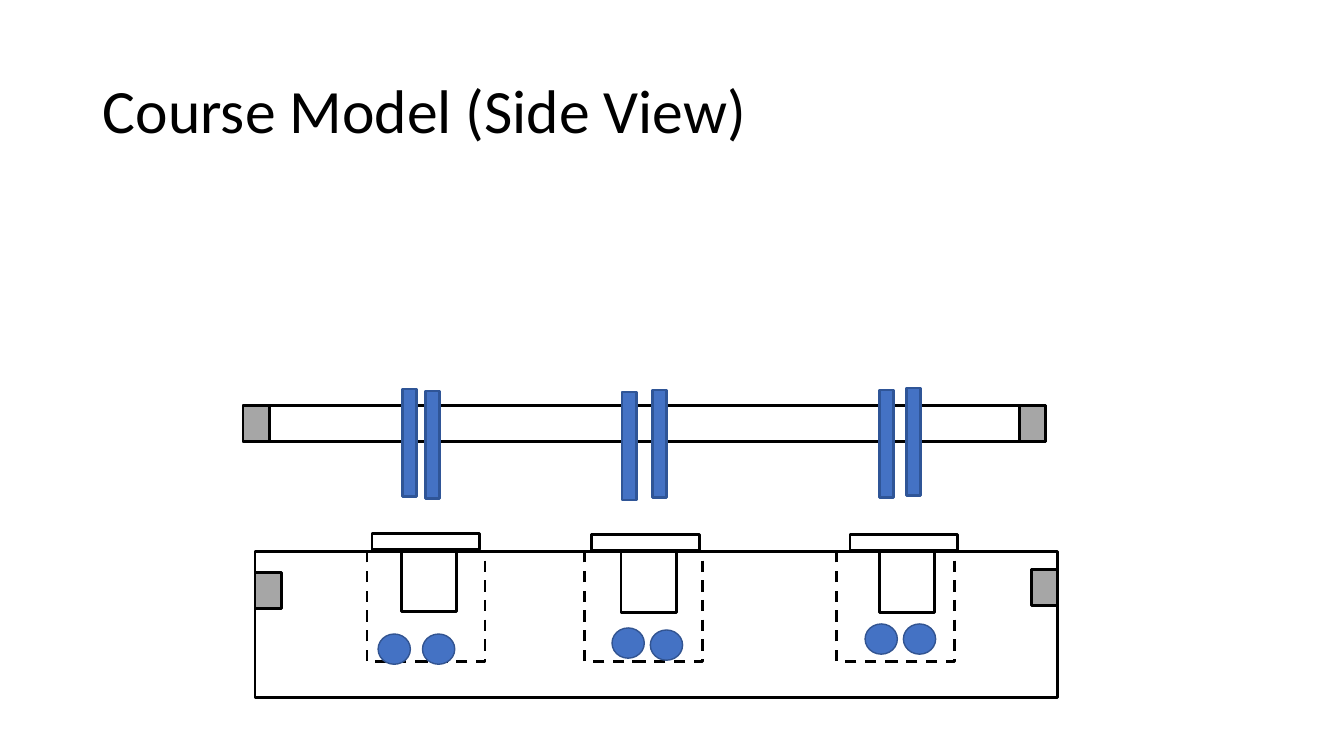
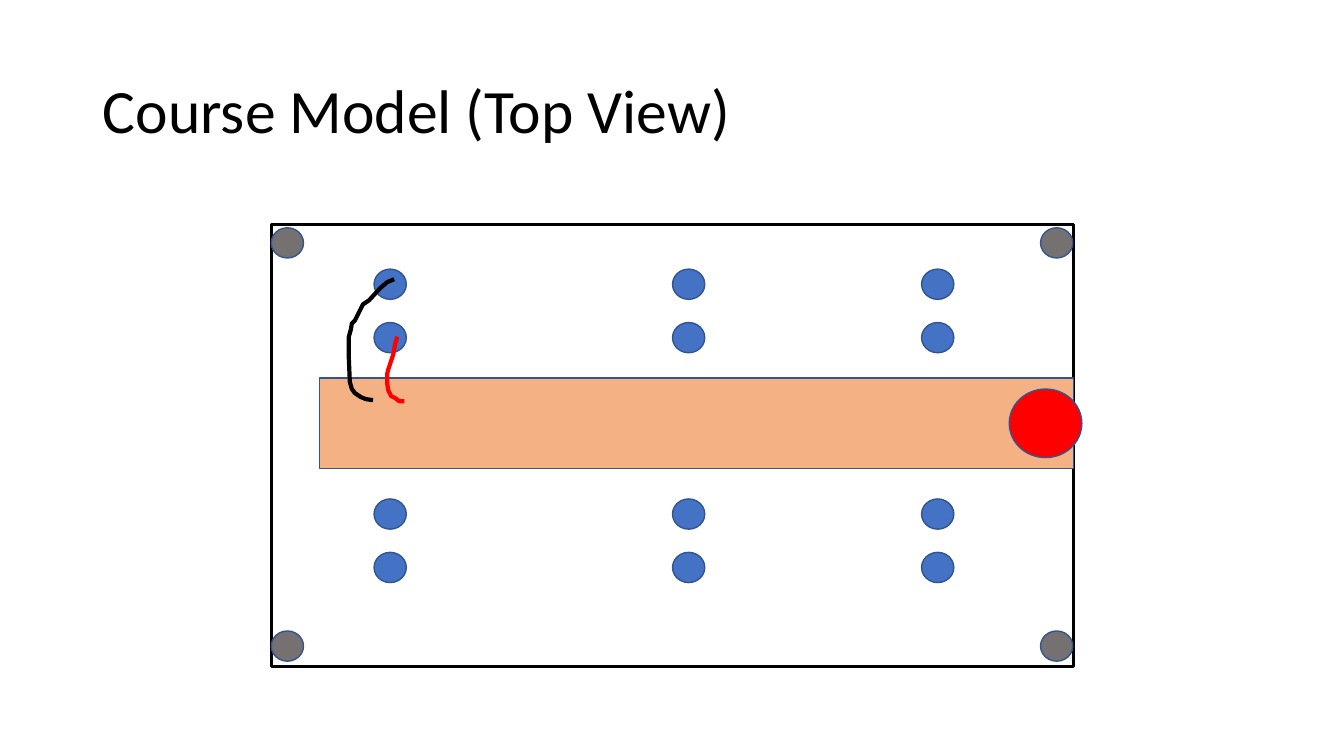
import pptx
import pptx.dml.color
import pptx.enum.dml
import pptx.enum.shapes
import pptx.enum.text
import pptx.util

EMU_PER_PX = 9144
SLIDE_SIZE = (1333, 750)
TITLE_BOX = (92, 40, 1150, 145)
TITLE_ONLY_LAYOUT = 5

BLACK = pptx.dml.color.RGBColor(0x00, 0x00, 0x00)
BLUE = pptx.dml.color.RGBColor(0x44, 0x72, 0xC4)
BALL_EDGE = pptx.dml.color.RGBColor(0x32, 0x54, 0x91)
PIN_EDGE = pptx.dml.color.RGBColor(0x2F, 0x55, 0x97)
LIGHT_GRAY = pptx.dml.color.RGBColor(0xA6, 0xA6, 0xA6)
DARK_GRAY = pptx.dml.color.RGBColor(0x76, 0x71, 0x71)
ORANGE = pptx.dml.color.RGBColor(0xF4, 0xB1, 0x83)
RED = pptx.dml.color.RGBColor(0xFF, 0x00, 0x00)

RECTANGLE = pptx.enum.shapes.MSO_SHAPE.RECTANGLE
OVAL = pptx.enum.shapes.MSO_SHAPE.OVAL

TITLE_FRAME = {"vertical_anchor": pptx.enum.text.MSO_ANCHOR.MIDDLE, "word_wrap": True}
TITLE_PARAGRAPH = {"alignment": pptx.enum.text.PP_ALIGN.LEFT, "line_spacing": 0.9}
TITLE_FONT = {"name": "Calibri", "size": pptx.util.Pt(44)}

THIN = {"width": pptx.util.Pt(1)}
MEDIUM = {"width": pptx.util.Pt(2)}
THICK = {"width": pptx.util.Pt(3)}
DASHED = {**MEDIUM, "dash_style": pptx.enum.dml.MSO_LINE.DASH}

BALL_SIZE = (32, 30)
BLOCK_SIZE = (26, 36)
PIN_SIZE = (14, 107)
POCKET_SIZE = (117, 109)
PLATE_SIZE = (107, 16)
POST_SIZE = (55, 62)

STATIONS = [
    {
        "pocket": (364, 547),
        "plate": (369, 529),
        "balls": [(375, 629), (419, 629)],
        "pins": [(399, 386), (422, 388)],
    },
    {
        "pocket": (580, 547),
        "plate": (587, 530),
        "balls": [(607, 623), (645, 625)],
        "pins": [(617, 389), (647, 387)],
    },
    {
        "pocket": (830, 547),
        "plate": (843, 530),
        "balls": [(858, 619), (896, 619)],
        "pins": [(872, 387), (899, 385)],
    },
]
BLOCK_CORNERS = [(241, 402), (1011, 402), (253, 568), (1023, 565)]

BALL_COLUMNS = (371, 667, 914)
BALL_ROWS = (267, 320, 495, 548)
CORNER_COLUMNS = (269, 1032)
CORNER_ROWS = (226, 626)

BLACK_WIRE = [
    (391, 277), (384, 280), (377, 286), (366, 298), (360, 302), (352, 318),
    (349, 321), (348, 327), (346, 334), (346, 356), (347, 379), (349, 386),
    (352, 390), (358, 394), (363, 396), (370, 397),
]
RED_WIRE = [
    (394, 334), (392, 341), (390, 352), (388, 358), (385, 367), (384, 371),
    (384, 380), (385, 387), (388, 393), (392, 395), (396, 398), (401, 398),
]


def px(length):
    """Turn a pixel length into EMU."""
    return pptx.util.Emu(length * EMU_PER_PX)


def apply_format(target, values):
    """Set each named attribute of the target."""
    for name, value in values.items():
        setattr(target, name, value)


def style_shape(shape, fill, edge, line_format):
    """Give a shape its fill and outline, without a shadow."""
    shape.shadow.inherit = False
    if fill is None:
        shape.fill.background()
    else:
        shape.fill.solid()
        shape.fill.fore_color.rgb = fill
    shape.line.color.rgb = edge
    apply_format(shape.line, line_format)


def add_figure(shapes, kind, corner, size, fill=None, edge=BLACK, line_format=MEDIUM):
    """Add a preset shape by its top left corner and size."""
    shape = shapes.add_shape(kind, *map(px, corner + size))
    style_shape(shape, fill, edge, line_format)


def add_ball(shapes, corner, fill=BLUE, size=BALL_SIZE):
    """Add a thinly outlined ball."""
    add_figure(shapes, OVAL, corner, size, fill, BALL_EDGE, THIN)


def add_wire(shapes, points, color):
    """Add an open hand-drawn line through the points."""
    builder = shapes.build_freeform(*points[0], scale=EMU_PER_PX)
    builder.add_line_segments(points[1:], close=False)
    style_shape(builder.convert_to_shape(), None, color, THICK)


def add_plunger(shapes, corner):
    """Add a grouped post with the plate that lies on it."""
    left, top = corner
    plunger = shapes.add_group_shape().shapes
    post_left = left + (PLATE_SIZE[0] - POST_SIZE[0]) // 2 + 3
    add_figure(plunger, RECTANGLE, (post_left, top + PLATE_SIZE[1]), POST_SIZE)
    add_figure(plunger, RECTANGLE, corner, PLATE_SIZE)


def add_station(shapes, station):
    """Add a pocket with its balls, plunger and pins."""
    add_figure(shapes, RECTANGLE, station["pocket"], POCKET_SIZE, line_format=DASHED)
    for corner in station["balls"]:
        add_ball(shapes, corner)
    add_plunger(shapes, station["plate"])
    for corner in station["pins"]:
        add_figure(shapes, RECTANGLE, corner, PIN_SIZE, BLUE, PIN_EDGE)


def add_titled_slide(presentation, text):
    """Add a slide with a formatted title and return its shapes."""
    slide = presentation.slides.add_slide(presentation.slide_layouts[TITLE_ONLY_LAYOUT])
    title = slide.shapes.title
    apply_format(title, dict(zip(("left", "top", "width", "height"), map(px, TITLE_BOX))))
    title.text_frame.text = text
    paragraph = title.text_frame.paragraphs[0]
    font = paragraph.runs[0].font
    apply_format(title.text_frame, TITLE_FRAME)
    apply_format(paragraph, TITLE_PARAGRAPH)
    apply_format(font, TITLE_FONT)
    font.color.rgb = BLACK
    return slide.shapes


def build_side_view(presentation):
    """Build the slide that shows the course from the side."""
    shapes = add_titled_slide(presentation, "Course Model (Side View)")
    add_figure(shapes, RECTANGLE, (253, 547), (796, 145))
    add_figure(shapes, RECTANGLE, (241, 402), (796, 36))
    for corner in BLOCK_CORNERS:
        add_figure(shapes, RECTANGLE, corner, BLOCK_SIZE, LIGHT_GRAY)
    for station in STATIONS:
        add_station(shapes, station)


def build_top_view(presentation):
    """Build the slide that shows the course from above."""
    shapes = add_titled_slide(presentation, "Course Model (Top View)")
    add_figure(shapes, RECTANGLE, (269, 223), (796, 438))
    for left in BALL_COLUMNS:
        for top in BALL_ROWS:
            add_ball(shapes, (left, top))
    add_figure(shapes, RECTANGLE, (317, 375), (748, 90), ORANGE, BALL_EDGE, THIN)
    add_ball(shapes, (1001, 386), RED, (72, 68))
    add_wire(shapes, BLACK_WIRE, BLACK)
    add_wire(shapes, RED_WIRE, RED)
    for left in CORNER_COLUMNS:
        for top in CORNER_ROWS:
            add_ball(shapes, (left, top), DARK_GRAY)


def main():
    """Build and save the presentation."""
    presentation = pptx.Presentation()
    presentation.slide_width, presentation.slide_height = map(px, SLIDE_SIZE)
    build_side_view(presentation)
    build_top_view(presentation)
    presentation.save("out.pptx")


if __name__ == "__main__":
    main()
